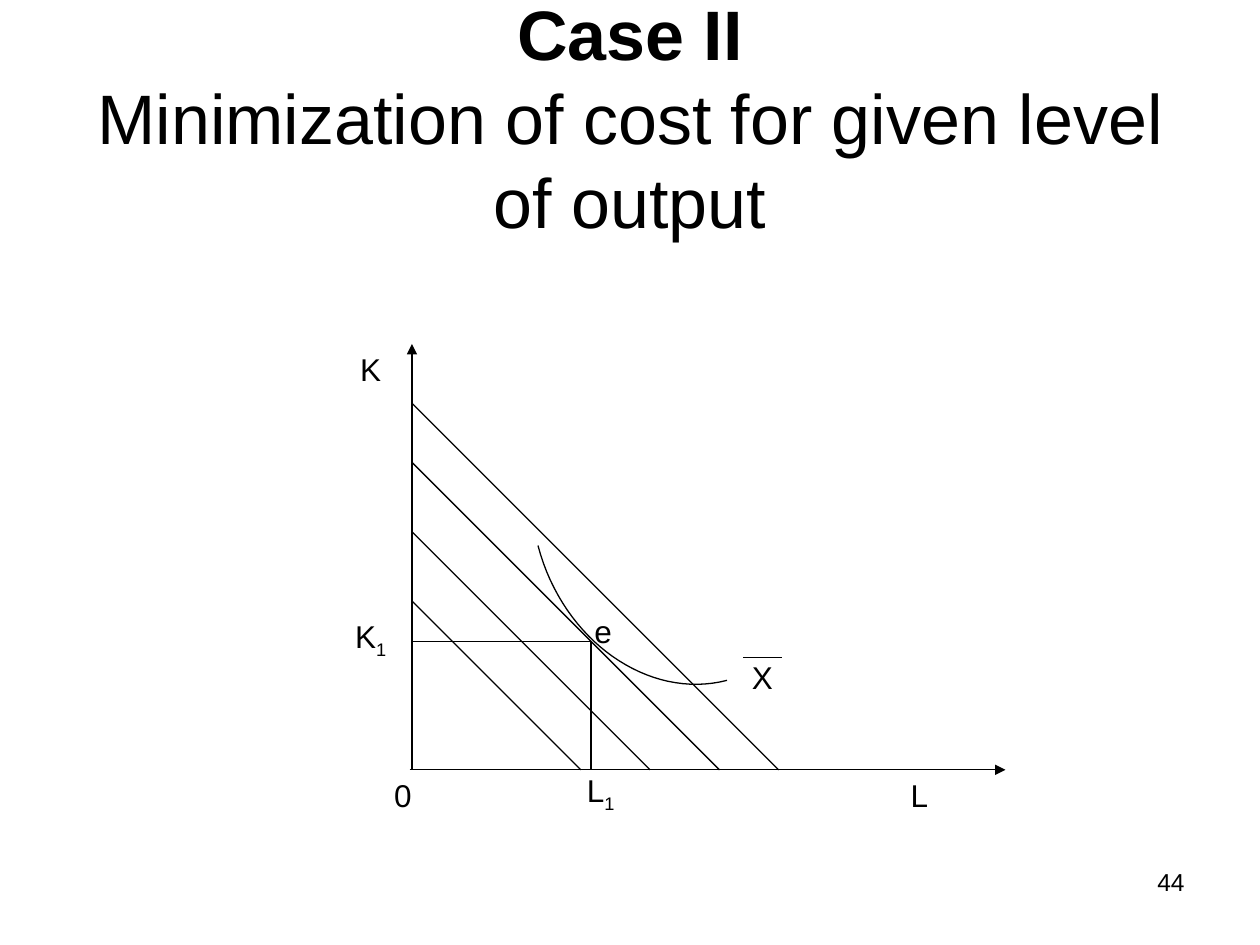
from pptx import Presentation
from pptx.dml.color import RGBColor
from pptx.enum.shapes import MSO_CONNECTOR
from pptx.enum.text import MSO_ANCHOR, MSO_AUTO_SIZE, PP_ALIGN
from pptx.oxml.ns import qn
from pptx.util import Inches, Pt
from lxml.etree import SubElement

BLACK = RGBColor(0, 0, 0)
FONT = "Arial"
LEFT, BASE = 3.27, 6.11
POINT = (4.69, 5.09)
COSTS = [4.77, 4.22, 3.67, 3.2]
CURVE = [(4.27, 4.33), (4.47, 5.09), (5.15, 5.56), (5.77, 5.4)]
STEPS = 32
LABELS = [
    ("e", "", 4.62, 4.81, 0.24),
    ("K", "", 2.76, 2.73, 0.47),
    ("0", "", 3.03, 6.11, 0.24),
    ("L", "1", 4.56, 6.07, 0.47),
    ("K", "1", 2.72, 4.85, 0.47),
    ("L", "", 7.13, 6.11, 0.47),
    ("X", "", 5.87, 5.17, 0.47),
]


def add_run(para, text, size, bold=False, base=None):
    run = para.add_run()
    run.text = text
    font = run.font
    font.name = FONT
    font.size = Pt(size)
    font.bold = bold
    font.color.rgb = BLACK
    if base:
        font._element.set("baseline", str(base))


def add_title(slide):
    title = slide.shapes.title
    title.left, title.top = Inches(0.5), Inches(0.3)
    title.width, title.height = Inches(9), Inches(1.25)
    frame = title.text_frame
    frame.auto_size = MSO_AUTO_SIZE.NONE
    frame.vertical_anchor = MSO_ANCHOR.MIDDLE
    frame.word_wrap = True
    para = frame.paragraphs[0]
    para.alignment = PP_ALIGN.CENTER
    add_run(para, "Case II", 40, True)
    para.add_line_break()
    add_run(para, "Minimization of cost for given level of output", 40)


def add_text(slide, text, sub, x, y, wide, high=0.4, size=18, align=PP_ALIGN.LEFT):
    box = slide.shapes.add_textbox(Inches(x), Inches(y), Inches(wide), Inches(high))
    box.text_frame.word_wrap = True
    para = box.text_frame.paragraphs[0]
    para.alignment = align
    add_run(para, text, size)
    if sub:
        add_run(para, sub, size, base=-25000)


def add_line(slide, start, end, arrow=False):
    ends = [Inches(n) for n in (*start, *end)]
    line = slide.shapes.add_connector(MSO_CONNECTOR.STRAIGHT, *ends)
    line.line.color.rgb = BLACK
    line.line.width = Pt(0.75)
    if arrow:
        SubElement(line.line._get_or_add_ln(), qn("a:tailEnd"), type="triangle")
    SubElement(line._element.spPr, qn("a:effectLst"))


def curve_at(t):
    u = 1 - t
    parts = (u ** 3, 3 * u * u * t, 3 * u * t * t, t ** 3)
    return tuple(
        Inches(sum(w * p[axis] for w, p in zip(parts, CURVE))) for axis in (0, 1)
    )


def add_curve(slide):
    dots = [curve_at(i / STEPS) for i in range(STEPS + 1)]
    path = slide.shapes.build_freeform(*dots[0])
    path.add_line_segments(dots[1:], close=False)
    shape = path.convert_to_shape()
    shape.shadow.inherit = False
    shape.fill.background()
    shape.line.color.rgb = BLACK
    shape.line.width = Pt(0.75)


def main():
    deck = Presentation()
    deck.slide_width, deck.slide_height = Inches(10), Inches(7.5)
    slide = deck.slides.add_slide(deck.slide_layouts[5])
    add_title(slide)
    add_line(slide, (LEFT, BASE), (LEFT, 2.73), True)
    add_line(slide, (3.25, BASE), (7.98, BASE), True)
    for top in COSTS:
        add_line(slide, (LEFT, top), (LEFT + BASE - top, BASE))
    add_curve(slide)
    add_line(slide, POINT, (POINT[0], BASE))
    add_line(slide, POINT, (LEFT, POINT[1]))
    for label in LABELS:
        add_text(slide, *label)
    add_line(slide, (5.9, 5.22), (6.21, 5.22))
    add_text(slide, "44", "", 7.17, 6.83, 2.33, 0.52, 14, PP_ALIGN.RIGHT)
    deck.save("out.pptx")


if __name__ == "__main__":
    main()
